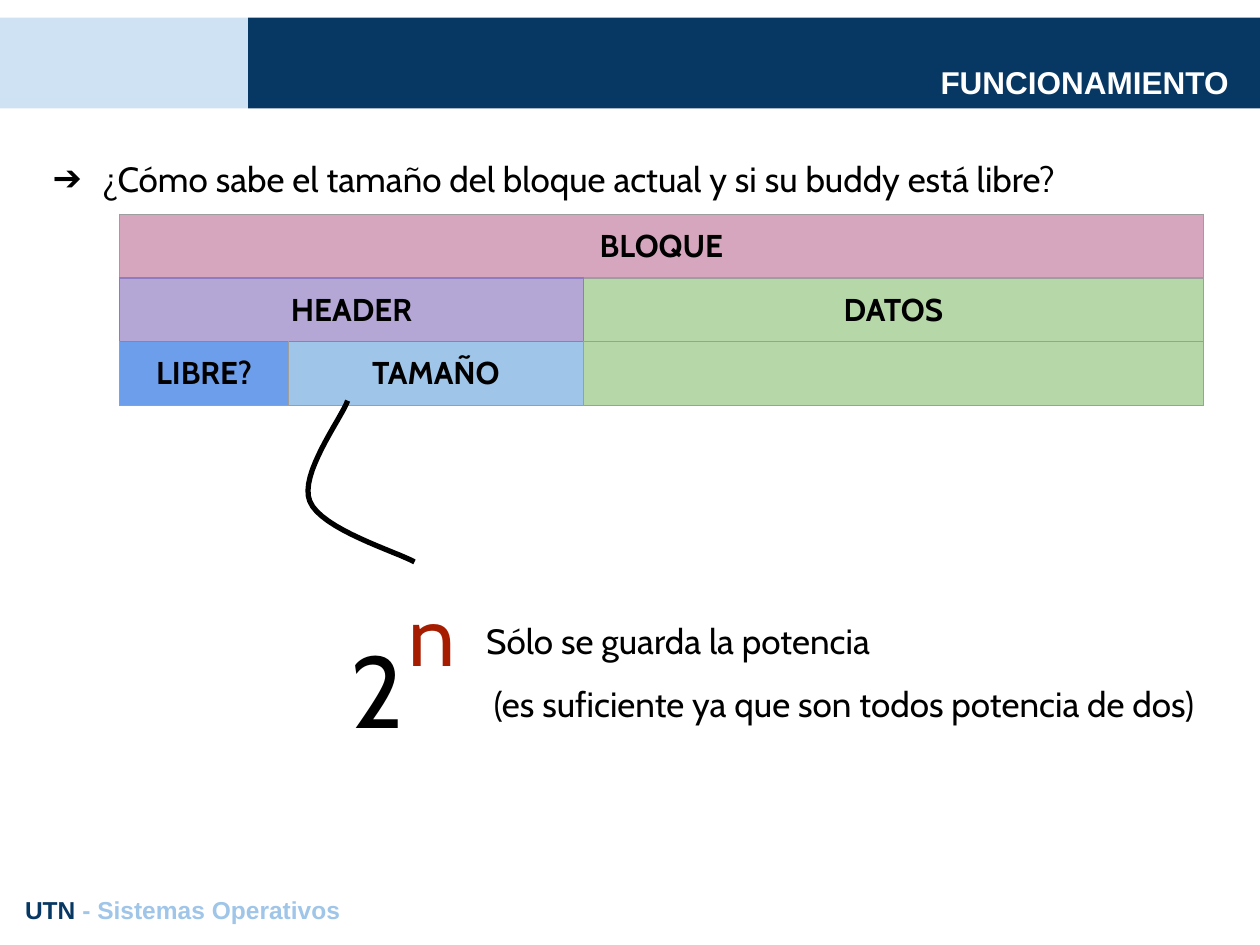
import pptx
import pptx.dml.color
import pptx.enum.shapes
import pptx.enum.text
import pptx.oxml
import pptx.oxml.ns
import pptx.util
from pptx.util import Inches

ALIGN = pptx.enum.text.PP_ALIGN
ANCHOR = pptx.enum.text.MSO_ANCHOR
NAVY, SKY, BLACK = "073763", "9FC5E8", "000000"
GREY, PURPLE, GREEN = "9E9E9E", "8E7CC3", "B6D7A8"
INSET = Inches(0.1)


def rgb(color):
    return pptx.dml.color.RGBColor.from_string(color)


def add_xml(parent, xml):
    namespace = pptx.oxml.ns.nsdecls("a")
    parent.append(pptx.oxml.parse_xml(xml.replace(">", f" {namespace}>", 1)))


def add_span(para, text, size=20, font="Cabin", color=BLACK, bold=False):
    span = para.add_run()
    span.text = text
    span.font.size = pptx.util.Pt(size)
    span.font.name = font
    span.font.bold = bold
    span.font.color.rgb = rgb(color)


def add_text(shapes, left, top, width, height, lines, align=ALIGN.LEFT,
             anchor=ANCHOR.TOP, spacing=1.0, **style):
    """Each line is a string, or a list of (text, colour) pairs."""
    box = shapes.add_textbox(Inches(left), Inches(top), Inches(width), Inches(height))
    frame = box.text_frame
    frame.word_wrap = True
    frame.vertical_anchor = anchor
    frame.margin_left = frame.margin_right = INSET
    frame.margin_top = frame.margin_bottom = INSET
    for index, line in enumerate(lines):
        para = frame.add_paragraph() if index else frame.paragraphs[0]
        para.alignment = align
        para.line_spacing = spacing
        if isinstance(line, str):
            add_span(para, line, **style)
        else:
            for text, color in line:
                add_span(para, text, color=color, **style)
    return box


def add_bullet(para, symbol):
    properties = para._p.get_or_add_pPr()
    properties.set("marL", str(Inches(0.5)))
    properties.set("indent", str(-Inches(0.39)))
    add_xml(properties, f'<a:buClr><a:srgbClr val="{BLACK}"/></a:buClr>')
    add_xml(properties, '<a:buFont typeface="Cabin"></a:buFont>')
    add_xml(properties, f'<a:buChar char="{symbol}"></a:buChar>')


def add_band(page, left, width, color):
    band = page.shapes.add_shape(pptx.enum.shapes.MSO_SHAPE.RECTANGLE, Inches(left),
                                 Inches(0.14), Inches(width), Inches(0.72))
    band.shadow.inherit = False
    band.fill.solid()
    band.fill.fore_color.rgb = rgb(color)
    band.line.fill.background()


def format_cell(cell, fill, borders):
    """Borders are the colours of the left, right, top and bottom edges."""
    properties = cell._tc.get_or_add_tcPr()
    for side, color in zip("LRTB", borders):
        add_xml(properties, f'<a:ln{side} w="9525"><a:solidFill><a:srgbClr val="{color}"/>'
                            f'</a:solidFill></a:ln{side}>')
    cell.fill.solid()
    cell.fill.fore_color.rgb = rgb(fill)
    cell.margin_left = cell.margin_right = INSET
    cell.margin_top = cell.margin_bottom = INSET


def add_block_table(page):
    widths, row_height = [1.34, 2.34, 4.92], 0.507
    table = page.shapes.add_table(3, 3, Inches(0.95), Inches(1.7), Inches(sum(widths)),
                                  Inches(3 * row_height)).table
    table.first_row = table.horz_banding = False
    for column, width in zip(table.columns, widths):
        column.width = Inches(width)
    for row in table.rows:
        row.height = Inches(row_height)

    top = (GREY, GREY, GREY, PURPLE)
    header = (PURPLE,) * 4
    data = (PURPLE, GREY, GREY, GREY)
    field = (GREY, GREY, PURPLE, GREY)
    # row, first column, last column, text, fill, borders
    blocks = [
        (0, 0, 2, "BLOQUE", "D5A6BD", top),
        (1, 0, 1, "HEADER", "B4A7D6", header),
        (1, 2, 2, "DATOS", GREEN, data),
        (2, 0, 0, "LIBRE?", "6D9EEB", field),
        (2, 1, 1, "TAMAÑO", SKY, field),
        (2, 2, 2, "", GREEN, (GREY,) * 4),
    ]
    for row, first, last, text, fill, borders in blocks:
        for column in range(first, last + 1):
            format_cell(table.cell(row, column), fill, borders)
        cell = table.cell(row, first)
        if last > first:
            cell.merge(table.cell(row, last))
        if text:
            para = cell.text_frame.paragraphs[0]
            para.alignment = ALIGN.CENTER
            add_span(para, text, size=18, bold=True)


def bezier_points(start, control_1, control_2, end, steps=16):
    """Points along a cubic curve after its start, in whole EMU."""
    for step in range(1, steps + 1):
        t = step / steps
        weights = ((1 - t) ** 3, 3 * t * (1 - t) ** 2, 3 * t ** 2 * (1 - t), t ** 3)
        yield tuple(Inches(sum(weight * value for weight, value in zip(weights, values)))
                    for values in zip(start, control_1, control_2, end))


def add_curve(page, start, segments):
    builder = page.shapes.build_freeform(Inches(start[0]), Inches(start[1]))
    for segment in segments:
        builder.add_line_segments(bezier_points(start, *segment), close=False)
        start = segment[-1]
    curve = builder.convert_to_shape()
    curve.shadow.inherit = False
    curve.fill.background()
    curve.line.color.rgb = rgb(BLACK)
    curve.line.width = pptx.util.Pt(3)


def main():
    deck = pptx.Presentation()
    deck.slide_width, deck.slide_height = Inches(10), Inches(7.5)
    page = deck.slides.add_slide(deck.slide_layouts[6])

    add_band(page, 0, 1.97, "CFE2F3")
    add_band(page, 1.97, 8.03, NAVY)
    add_text(page.shapes, 1.35, 0.4, 8.5, 0.5, ["FUNCIONAMIENTO"], align=ALIGN.RIGHT,
             anchor=ANCHOR.BOTTOM, size=18, font="Arial", color="FFFFFF", bold=True)
    question = add_text(page.shapes, 0.21, 0.98, 9.58, 0.9,
                        ["¿Cómo sabe el tamaño del bloque actual y si su buddy está libre?"],
                        spacing=1.5)
    add_bullet(question.text_frame.paragraphs[0], "➔")
    add_block_table(page)

    power = page.shapes.add_group_shape()
    add_text(power.shapes, 2.68, 4.39, 0.63, 0.9, ["2"], spacing=1.5, size=58)
    add_text(power.shapes, 3.14, 4.12, 0.63, 0.9, ["n"], spacing=1.5, size=48,
             color="A61C00")
    add_curve(page, (2.76, 3.18), [((2.71, 3.32), (2.37, 3.77), (2.46, 3.98)),
                                   ((2.55, 4.2), (3.15, 4.38), (3.29, 4.46))])
    add_text(page.shapes, 3.76, 4.65, 6.24, 0.9,
             ["Sólo se guarda la potencia",
              " (es suficiente ya que son todos potencia de dos)"], spacing=1.5)
    add_text(page.shapes, 0.1, 7, 9.81, 0.44,
             [[("UTN", NAVY), (" - Sistemas Operativos", SKY)]],
             size=14, font="Arial", bold=True)
    deck.save("out.pptx")


if __name__ == "__main__":
    main()
